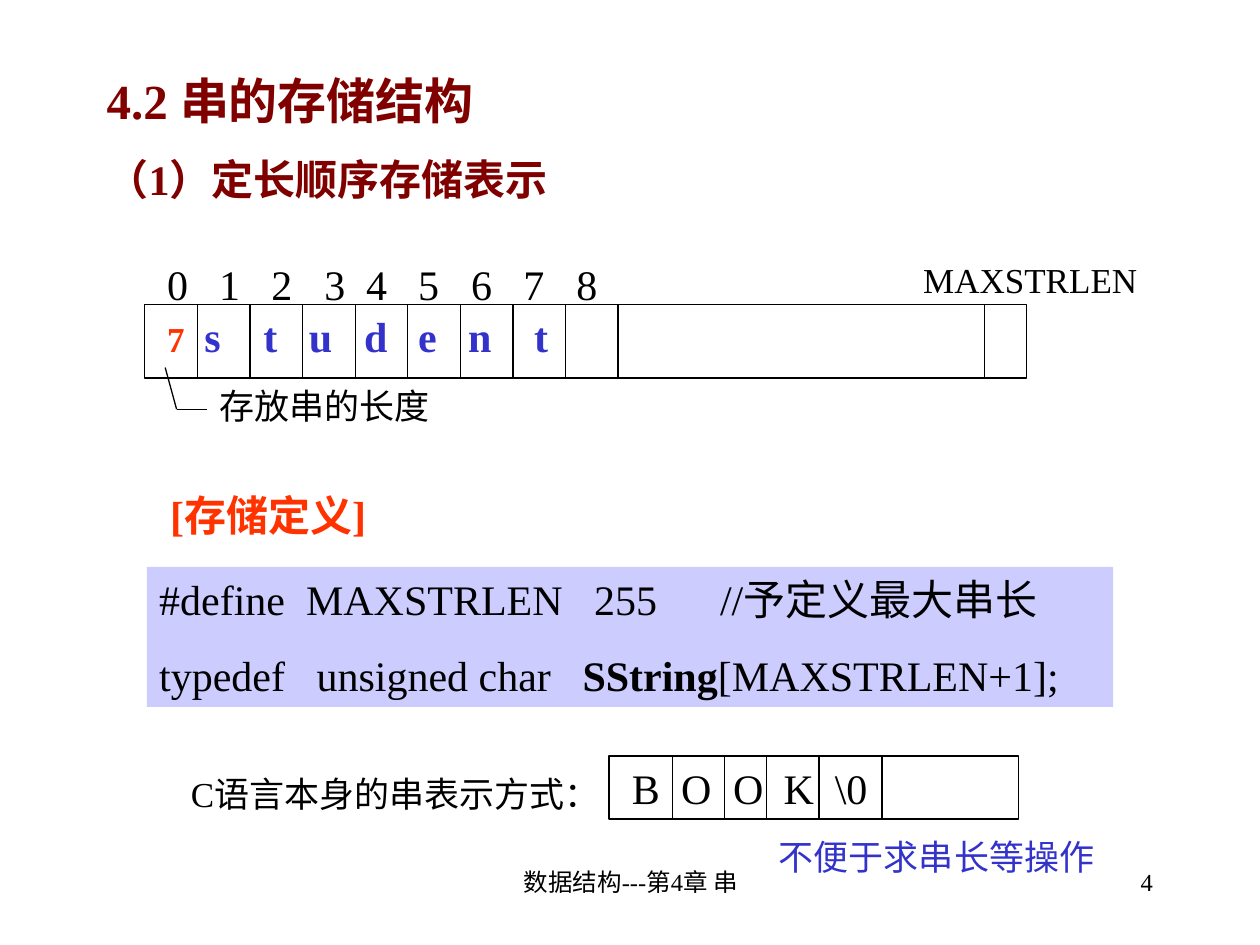
from dataclasses import dataclass

from lxml import etree
from pptx import Presentation
from pptx.dml.color import RGBColor
from pptx.enum import shapes, text
from pptx.oxml import ns
from pptx.util import Cm, Pt


@dataclass(frozen=True)
class Theme:
    font: str = "Times New Roman"
    ink: str = "000000"
    heading: str = "800000"
    accent: str = "FF3300"
    data: str = "3333CC"
    code_fill: str = "CCCCFF"
    title: int = 28
    body: int = 24
    label: int = 20
    footer: int = 14
    line: float = 0.75


class SlideBuilder:
    def __init__(self, slide, theme):
        self.slide = slide
        self.theme = theme

    def run(self, paragraph, words, size=None, color=None, bold=False):
        run = paragraph.add_run()
        run.text = words
        run.font.name = self.theme.font
        run.font.size = Pt(size or self.theme.body)
        run.font.color.rgb = RGBColor.from_string(color or self.theme.ink)
        run.font.bold = bold

    def set_tabs(self, paragraph, stops):
        """Left tab stops, in cm from the text edge."""
        props = paragraph._p.get_or_add_pPr()
        tabs = etree.SubElement(props, ns.qn("a:tabLst"))
        for stop in stops:
            etree.SubElement(tabs, ns.qn("a:tab"), pos=str(Cm(stop)), algn="l")

    def text(self, left, top, width, height, align=text.PP_ALIGN.LEFT,
             anchor=text.MSO_ANCHOR.TOP, tabs=()):
        """Add a text box and return its paragraph, ready for runs."""
        box = self.slide.shapes.add_textbox(Cm(left), Cm(top), Cm(width), Cm(height))
        frame = box.text_frame
        frame.word_wrap = True
        frame.vertical_anchor = anchor
        paragraph = frame.paragraphs[0]
        if tabs:
            self.set_tabs(paragraph, tabs)
        paragraph.alignment = align
        return paragraph

    def rectangle(self, left, top, width, height, fill=None):
        """A filled panel without outline, or an outlined box without fill."""
        box = self.slide.shapes.add_shape(
            shapes.MSO_SHAPE.RECTANGLE, Cm(left), Cm(top), Cm(width), Cm(height))
        box.shadow.inherit = False
        if fill:
            box.fill.solid()
            box.fill.fore_color.rgb = RGBColor.from_string(fill)
            box.line.fill.background()
        else:
            box.fill.background()
            box.line.color.rgb = RGBColor.from_string(self.theme.ink)
            box.line.width = Pt(self.theme.line)
        return box

    def line(self, x1, y1, x2, y2):
        line = self.slide.shapes.add_connector(
            shapes.MSO_CONNECTOR.STRAIGHT, Cm(x1), Cm(y1), Cm(x2), Cm(y2))
        line.line.color.rgb = RGBColor.from_string(self.theme.ink)
        line.line.width = Pt(self.theme.line)
        etree.SubElement(line._element.spPr, ns.qn("a:effectLst"))

    def cells(self, left, top, width, height, dividers):
        """A memory strip: one outline cut by vertical dividers."""
        self.rectangle(left, top, width, height)
        for x in dividers:
            self.line(x, top, x, top + height)

    def code(self, left, top, width, height, lines):
        """A filled panel; each line is a list of (words, bold) pairs."""
        frame = self.rectangle(left, top, width, height, self.theme.code_fill).text_frame
        frame.word_wrap = True
        frame.vertical_anchor = text.MSO_ANCHOR.TOP
        for number, parts in enumerate(lines):
            paragraph = frame.add_paragraph() if number else frame.paragraphs[0]
            paragraph.alignment = text.PP_ALIGN.LEFT
            if number:
                paragraph.space_before = Pt(15)
            for words, bold in parts:
                self.run(paragraph, words, bold=bold)


def main():
    deck = Presentation()
    deck.slide_width, deck.slide_height = Cm(25.4), Cm(19.05)
    theme = Theme()
    page = SlideBuilder(deck.slides.add_slide(deck.slide_layouts[6]), theme)

    footer = page.text(8.69, 17.35, 8.05, 1.27, align=text.PP_ALIGN.CENTER)
    page.run(footer, "数据结构---第4章 串", theme.footer)
    number = page.text(18.21, 17.35, 5.28, 1.27, align=text.PP_ALIGN.RIGHT)
    page.run(number, "4", theme.footer)

    title = page.text(1.9, 1.27, 21.6, 1.48, anchor=text.MSO_ANCHOR.MIDDLE)
    page.run(title, "4.2 串的存储结构", theme.title, theme.heading, True)
    subtitle = page.text(1.9, 2.97, 11, 1.27)
    page.run(subtitle, "（1）定长顺序存储表示", color=theme.heading, bold=True)

    # Fixed-length string: length in cell 0, characters after it
    left, top, step = 2.92, 6.14, 1.06
    dividers = [left + step * i for i in range(1, 10)] + [19.84]
    page.cells(left, top, 17.78, 1.48, dividers)
    content = page.text(3.12, top, 12.5, 1.27,
                        tabs=(0.75, 1.94, 2.86, 3.97, 5.06, 6.07, 7.4))
    page.run(content, "7", theme.label, theme.accent, True)
    page.run(content, "\t" + "\t".join("student"), color=theme.data, bold=True)
    indices = page.text(3.12, 5.08, 9.75, 1.27,
                        tabs=(1.05, 2.1, 3.17, 4.01, 5.06, 6.13, 7.18, 8.25))
    page.run(indices, "\t".join("012345678"))
    limit = page.text(18.36, 5.08, 4.88, 1.12)
    page.run(limit, "MAXSTRLEN", theme.label)

    length_note = page.text(4.18, 7.62, 5.08, 1.12)
    page.run(length_note, "存放串的长度", theme.label)
    page.line(3.33, 7.41, 3.56, 8.25)
    page.line(3.56, 8.25, 4.18, 8.25)

    definition = page.text(3.18, 9.74, 8.89, 1.27)
    page.run(definition, "[存储定义]", color=theme.accent, bold=True)
    page.code(2.96, 11.43, 19.48, 2.82, [
        [("#define  MAXSTRLEN   255      //予定义最大串长", False)],
        [("typedef   unsigned char   ", False), ("SString", True),
         ("[MAXSTRLEN+1];", False)],
    ])

    # Zero-terminated string
    page.cells(12.28, 15.24, 8.26, 1.27, (13.55, 14.61, 15.45, 16.51, 17.78))
    book = page.text(12.49, 15.24, 5.5, 1.27, tabs=(0.99, 2.04, 3.06, 4.09))
    page.run(book, "\t".join(["B", "O", "O", "K", "\\0"]))
    c_style = page.text(3.6, 15.45, 9.53, 1.12)
    page.run(c_style, "C语言本身的串表示方式：", theme.label)
    drawback = page.text(15.45, 16.72, 7.41, 1.12)
    page.run(drawback, "不便于求串长等操作", theme.label, theme.data)

    deck.save("out.pptx")


if __name__ == "__main__":
    main()
